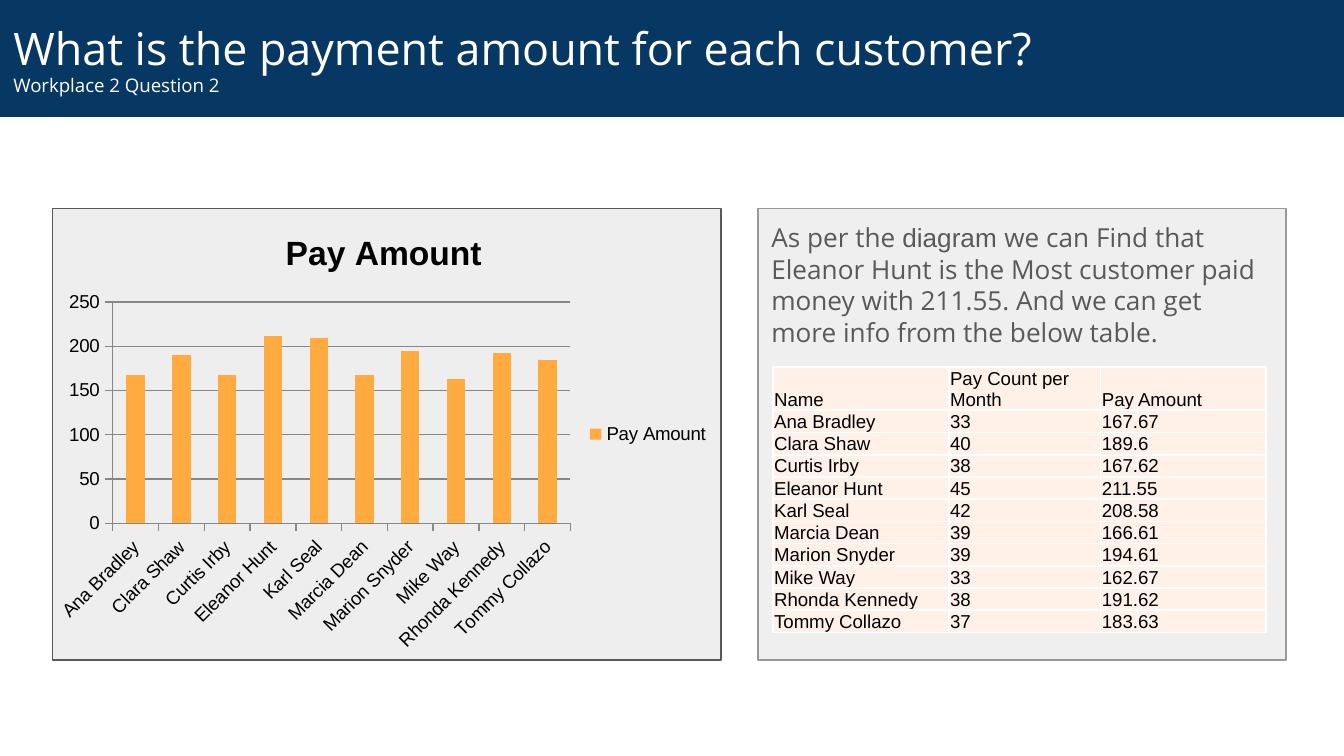
"""Build the slide that shows the payment amount for each customer."""
from lxml import etree
from pptx import Presentation
from pptx import util as u
from pptx.chart.data import CategoryChartData
from pptx.dml.color import RGBColor
from pptx.enum import chart as charts, shapes, text
from pptx.oxml.ns import qn

COLORS = {
    "navy": "073763", "white": "FFFFFF", "black": "000000", "orange": "FFAB40",
    "cream": "FFF1E8", "panel": "EEEEEE", "body": "EFEFEF", "body_line": "999999",
    "gray": "595959", "axis": "878787",
}
PAYMENTS = [
    ("Ana Bradley", 33, 167.67), ("Clara Shaw", 40, 189.6), ("Curtis Irby", 38, 167.62),
    ("Eleanor Hunt", 45, 211.55), ("Karl Seal", 42, 208.58), ("Marcia Dean", 39, 166.61),
    ("Marion Snyder", 39, 194.61), ("Mike Way", 33, 162.67),
    ("Rhonda Kennedy", 38, 191.62), ("Tommy Collazo", 37, 183.63),
]
PANEL_TOP, PANEL_HEIGHT = u.Pt(111.6), u.Pt(242)


def color(name):
    return RGBColor.from_string(COLORS[name])


def style_box(shape, left, top, width, height, fill, line=None):
    shape.left, shape.top, shape.width, shape.height = left, top, width, height
    shape.fill.solid()
    shape.fill.fore_color.rgb = color(fill)
    shape.shadow.inherit = False
    if line:
        shape.line.color.rgb = color(line)
        shape.line.width = u.Pt(0.75)
    frame = shape.text_frame
    frame.auto_size = text.MSO_AUTO_SIZE.NONE
    frame.word_wrap = True
    frame.margin_left = frame.margin_right = u.Pt(7.2)
    frame.margin_top = frame.margin_bottom = u.Pt(7.2)


presentation = Presentation()
presentation.slide_width, presentation.slide_height = u.Pt(720), u.Pt(405)
slide = presentation.slides.add_slide(presentation.slide_layouts[1])
title, body = slide.placeholders

style_box(title, 0, 0, u.Pt(720), u.Pt(62.6), "navy")
title.text_frame.vertical_anchor = text.MSO_ANCHOR.MIDDLE
paragraph = title.text_frame.paragraphs[0]
paragraph.alignment = text.PP_ALIGN.LEFT
paragraph.font.name = "Open Sans"
paragraph.font.color.rgb = color("white")
run = paragraph.add_run()
run.text = "What is the payment amount for each customer?"
run.font.size = u.Pt(24)
paragraph.add_line_break()
run = paragraph.add_run()
run.text = "Workplace 2 Question 2"
run.font.size = u.Pt(10)

style_box(body, u.Pt(406), PANEL_TOP, u.Pt(283), PANEL_HEIGHT, "body", "body_line")
paragraph = body.text_frame.paragraphs[0]
properties = paragraph._p.get_or_add_pPr()
properties.set("marL", "0")
properties.set("indent", "0")
etree.SubElement(properties, qn("a:buNone"))
paragraph.line_spacing = 1.0
paragraph.space_before = u.Pt(0)
paragraph.font.size = u.Pt(14)
paragraph.font.color.rgb = color("gray")
for words, font_name in [
    ("As per the ", "Open Sans"),
    ("diagram ", "Arial"),
    ("we can Find that Eleanor Hunt is the Most customer paid money with 211.55. "
     "And we can get more info from the below table.", "Open Sans"),
]:
    run = paragraph.add_run()
    run.text = words
    run.font.name = font_name

panel = slide.shapes.add_shape(shapes.MSO_SHAPE.RECTANGLE, 0, 0, 0, 0)
style_box(panel, u.Pt(28), PANEL_TOP, u.Pt(358.3), PANEL_HEIGHT, "panel", "gray")

chart_data = CategoryChartData()
chart_data.categories = [name for name, count, amount in PAYMENTS]
chart_data.add_series("Pay Amount", [round(amount) for name, count, amount in PAYMENTS])
chart = slide.shapes.add_chart(
    charts.XL_CHART_TYPE.COLUMN_CLUSTERED,
    u.Pt(23.8), PANEL_TOP, u.Pt(363.6), PANEL_HEIGHT, chart_data).chart
chart.font.name = "Arial"
chart.font.size = u.Pt(10)
chart.font.color.rgb = color("black")
chart.has_title = True
chart.chart_title.text_frame.text = "Pay Amount"
heading = chart.chart_title.text_frame.paragraphs[0].font
heading.name = "Arial"
heading.size = u.Pt(18)
heading.bold = True
heading.color.rgb = color("black")
chart.has_legend = True
chart.legend.position = charts.XL_LEGEND_POSITION.RIGHT
chart.legend.include_in_layout = False

plot = chart.plots[0]
plot.gap_width = 150
plot.vary_by_categories = False
bars = plot.series[0].format.fill
bars.solid()
bars.fore_color.rgb = color("orange")

value_axis, category_axis = chart.value_axis, chart.category_axis
value_axis.minimum_scale, value_axis.maximum_scale = 0, 250
value_axis.major_unit = 50
value_axis.has_major_gridlines = True
value_axis.major_gridlines.format.line.color.rgb = color("axis")
for axis in (value_axis, category_axis):
    axis.major_tick_mark = charts.XL_TICK_MARK.OUTSIDE
    axis.format.line.color.rgb = color("axis")
    axis.tick_labels.font.size = u.Pt(10)
category_axis._element.find(qn("c:txPr")).find(qn("a:bodyPr")).set("rot", "-2700000")

rows = [("Name", "Pay Count per Month", "Pay Amount"), *PAYMENTS]
table = slide.shapes.add_table(
    len(rows), 3, u.Pt(414), u.Pt(196.6), u.Pt(264.2), u.Pt(142.2)).table
for column, width in zip(table.columns, (94.3, 81.3, 88.6)):
    column.width = u.Pt(width)
for index, values in enumerate(rows):
    table.rows[index].height = u.Pt(11.9 if index else 23.2)
    for cell, value in zip(table.rows[index].cells, values):
        cell.text = str(value)
        cell.vertical_anchor = text.MSO_ANCHOR.BOTTOM
        cell.margin_left = cell.margin_right = cell.margin_top = u.Pt(0.72)
        cell.margin_bottom = 0
        font = cell.text_frame.paragraphs[0].font
        font.name, font.size, font.bold = "Arial", u.Pt(10), False
        font.color.rgb = color("black")
        for side in ("lnL", "lnR", "lnT", "lnB"):
            border = etree.SubElement(
                cell._tc.get_or_add_tcPr(), qn(f"a:{side}"), w=str(u.Pt(1)))
            paint = etree.SubElement(border, qn("a:solidFill"))
            etree.SubElement(paint, qn("a:srgbClr"), val=COLORS["white"])
        cell.fill.solid()
        cell.fill.fore_color.rgb = color("cream")

presentation.save("out.pptx")
